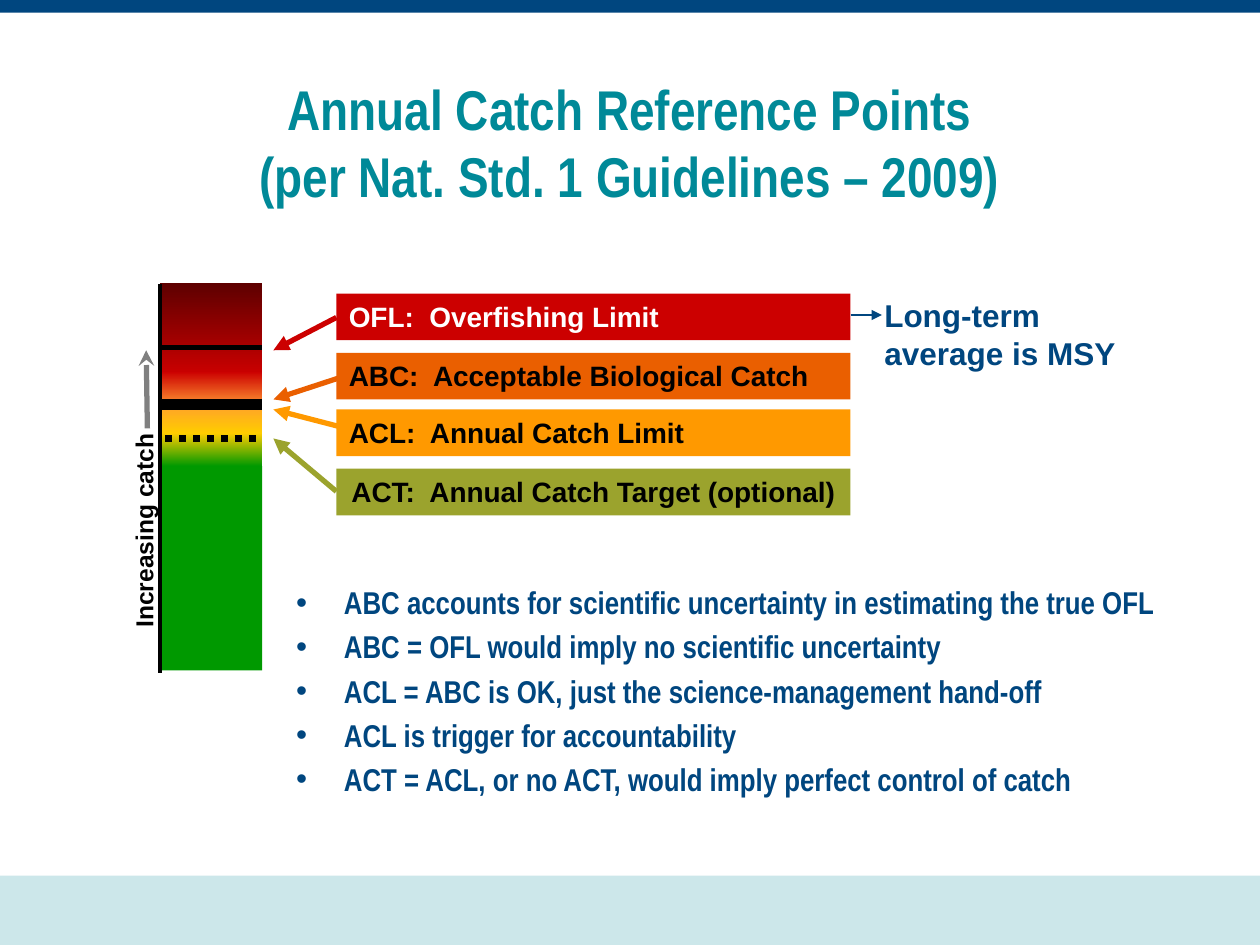
from dataclasses import dataclass
from typing import Optional

from pptx import Presentation
from pptx.dml.color import RGBColor
from pptx.enum.dml import MSO_LINE as Dash
from pptx.enum.shapes import MSO_CONNECTOR as Connector, MSO_SHAPE as Preset
from pptx.enum.text import MSO_ANCHOR as Anchor, MSO_AUTO_SIZE as AutoSize, PP_ALIGN as Align
from pptx.oxml.ns import qn
from pptx.util import Inches, Pt
from lxml.etree import SubElement

NAVY, TEAL, BLACK, WHITE = "00467F", "008998", "000000", "FFFFFF"
BAR_LEFT, BAR_WIDTH = 1.27, 0.81
LABEL_LEFT, LABEL_WIDTH, LABEL_HEIGHT = 2.67, 4.08, 0.37
ARROW_TIP = 2.17


@dataclass
class Zone:
    """One band of the catch scale, shaded from start colour to end colour."""
    top: float
    height: float
    start: str
    end: Optional[str] = None


@dataclass
class Line:
    start: tuple
    end: tuple
    color: str = BLACK
    width: float = 3
    head: Optional[str] = None
    dash: Optional[Dash] = None


@dataclass
class ReferencePoint:
    text: str
    top: float
    fill: str
    arrow_start: tuple
    arrow_end: float
    color: str = BLACK
    align: Align = Align.LEFT


ZONES = [
    Zone(2.25, 0.73, "5E0000", "CC0000"),
    Zone(3.44, 0.26, "FFCC00", "009900"),
    Zone(3.17, 0.27, "FF9933", "FFCC00"),
    Zone(2.95, 0.28, "CC0000", "FF9933"),
    Zone(3.7, 1.62, "009900"),
]
SCALE_LINES = [
    Line((1.27, 2.25), (1.27, 5.34), width=2.25),
    Line((1.17, 3.4), (1.16, 2.78), "808080", head="stealth"),
    Line((1.28, 3.19), (2.08, 3.19)),
    Line((1.27, 3.23), (2.08, 3.23)),
    Line((1.27, 2.76), (2.08, 2.76)),
    Line((1.31, 3.48), (2.06, 3.48), width=4, dash=Dash.ROUND_DOT),
]
REFERENCE_POINTS = [
    ReferencePoint("ACL:  Annual Catch Limit", 3.25, "FF9900", (2.75, 3.4), 3.25),
    ReferencePoint("ABC:  Acceptable Biological Catch", 2.8, "EA5F00", (2.75, 2.98), 3.17),
    ReferencePoint("OFL:  Overfishing Limit", 2.33, "CC0000", (2.67, 2.52), 2.78, WHITE),
    ReferencePoint("ACT:  Annual Catch Target (optional)", 3.72, "9BA32D", (2.67, 3.9), 3.48,
                   align=Align.CENTER),
]
BULLETS = [
    "ABC accounts for scientific uncertainty in estimating the true OFL",
    "ABC = OFL would imply no scientific uncertainty",
    "ACL = ABC is OK, just the science-management hand-off",
    "ACL is trigger for accountability",
    "ACT = ACL, or no ACT, would imply perfect control of catch",
]


def rgb(color: str) -> RGBColor:
    return RGBColor.from_string(color)


def format_text(shape, size: float, color: str, name: str = "Arial",
                align: Align = Align.LEFT, anchor: Anchor = Anchor.TOP) -> None:
    frame = shape.text_frame
    frame_format = {"word_wrap": True, "auto_size": AutoSize.NONE, "vertical_anchor": anchor}
    for attribute, value in frame_format.items():
        setattr(frame, attribute, value)
    font_format = {"size": Pt(size), "name": name, "bold": True}
    for paragraph in frame.paragraphs:
        paragraph.alignment = align
        for run in paragraph.runs:
            for attribute, value in font_format.items():
                setattr(run.font, attribute, value)
            run.font.color.rgb = rgb(color)


def place(shape, left: float, top: float, width: float, height: float) -> None:
    box = {"left": left, "top": top, "width": width, "height": height}
    for attribute, value in box.items():
        setattr(shape, attribute, Inches(value))


def add_rectangle(slide, left: float, top: float, width: float, height: float,
                  color: str, end_color: Optional[str] = None):
    """Add a borderless rectangle, shaded downwards if an end colour is given."""
    shape = slide.shapes.add_shape(Preset.RECTANGLE, *map(Inches, (left, top, width, height)))
    shape.shadow.inherit = False
    shape.line.fill.background()
    if end_color:
        shape.fill.gradient()
        shape.fill.gradient_angle = 270
        for stop, stop_color in zip(shape.fill.gradient_stops, (color, end_color)):
            stop.color.rgb = rgb(stop_color)
    else:
        shape.fill.solid()
        shape.fill.fore_color.rgb = rgb(color)
    return shape


def add_line(slide, line: Line) -> None:
    connector = slide.shapes.add_connector(
        Connector.STRAIGHT, *map(Inches, (*line.start, *line.end)))
    connector.line.color.rgb = rgb(line.color)
    connector.line.width = Pt(line.width)
    if line.dash:
        connector.line.dash_style = line.dash
    properties = connector._element.spPr
    if line.head:
        SubElement(properties.find(qn("a:ln")), qn("a:tailEnd"), type=line.head)
    SubElement(properties, qn("a:effectLst"))


def add_text(slide, text: str, box: tuple, size: float, color: str, **text_format):
    shape = slide.shapes.add_textbox(*map(Inches, box))
    shape.text_frame.text = text
    format_text(shape, size, color, **text_format)
    return shape


def add_reference_point(slide, point: ReferencePoint) -> None:
    label = add_rectangle(slide, LABEL_LEFT, point.top, LABEL_WIDTH, LABEL_HEIGHT, point.fill)
    label.text_frame.text = point.text
    format_text(label, 16, point.color, align=point.align)
    add_line(slide, Line(point.arrow_start, (ARROW_TIP, point.arrow_end), point.fill,
                         head="triangle"))


def fill_placeholders(slide) -> None:
    title, body = slide.placeholders
    place(title, 0, 0.5, 10, 1.25)
    title.text_frame.text = "Annual Catch Reference Points\v(per Nat. Std. 1 Guidelines – 2009)"
    format_text(title, 32, TEAL, "Arial Narrow", Align.CENTER, Anchor.MIDDLE)

    place(body, 2.25, 4.58, 7.42, 1.75)
    body.text_frame.text = "\n".join(BULLETS)
    format_text(body, 18, NAVY, "Arial Narrow")
    for index, paragraph in enumerate(body.text_frame.paragraphs):
        paragraph.space_before = Pt(3.6 if index else 0)
        properties = paragraph._p.get_or_add_pPr()
        properties.set("marL", str(Inches(0.38)))
        properties.set("indent", str(Inches(-0.38)))
        SubElement(properties, qn("a:buChar"), char="•")


def main() -> None:
    presentation = Presentation()
    presentation.slide_width, presentation.slide_height = Inches(10), Inches(7.5)
    slide = presentation.slides.add_slide(presentation.slide_layouts[1])

    add_rectangle(slide, 0, 6.95, 10, 0.55, "CCE7EA")
    add_rectangle(slide, 0, 0, 10, 0.1, NAVY)
    fill_placeholders(slide)

    for zone in ZONES:
        add_rectangle(slide, BAR_LEFT, zone.top, BAR_WIDTH, zone.height, zone.start, zone.end)
    for line in SCALE_LINES:
        add_line(slide, line)
    axis_label = add_text(slide, "Increasing catch", (0.08, 4.04, 2.12, 0.34), 14, BLACK,
                          align=Align.CENTER, anchor=Anchor.MIDDLE)
    axis_label.rotation = 270

    for point in REFERENCE_POINTS:
        add_reference_point(slide, point)
    add_line(slide, Line((6.75, 2.5), (7, 2.5), NAVY, 1.25, "triangle"))
    add_text(slide, "Long-term average is MSY", (6.92, 2.3, 2.25, 0.71), 18, NAVY)

    presentation.save("out.pptx")


if __name__ == "__main__":
    main()
